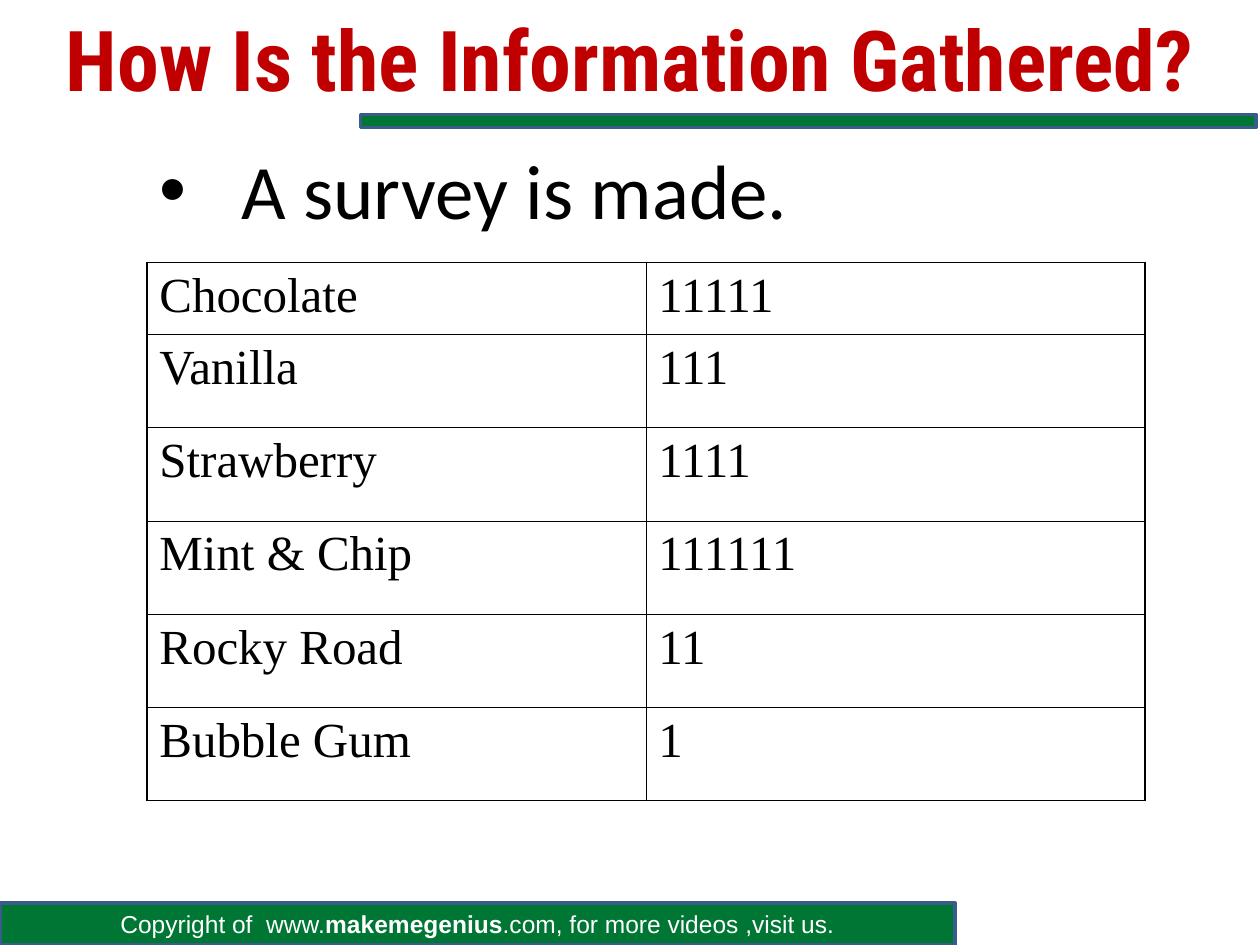
from lxml import etree
from pptx import Presentation
from pptx import util as u
from pptx.dml.color import RGBColor
from pptx.enum import shapes, text
from pptx.oxml import ns

COLOURS = {"red": "C00000", "green": "007635", "blue": "385D8A", "black": "000000", "white": "FFFFFF"}
SURVEY = [
    ("Chocolate", "11111"),
    ("Vanilla", "111"),
    ("Strawberry", "1111"),
    ("Mint & Chip", "111111"),
    ("Rocky Road", "11"),
    ("Bubble Gum", "1"),
]


class SurveyPage:
    """Draws the survey slide's elements in one shared style."""

    def __init__(self, page):
        self.page = page

    def colour(self, name):
        return RGBColor.from_string(COLOURS[name])

    def style(self, span, font, size, colour, bold=False):
        span.font.name = font
        span.font.size = u.Pt(size)
        span.font.bold = bold
        span.font.color.rgb = self.colour(colour)

    def bar(self, *place):
        box = self.page.shapes.add_shape(shapes.MSO_SHAPE.RECTANGLE, *map(u.Cm, place))
        box.shadow.inherit = False
        box.fill.solid()
        box.fill.fore_color.rgb = self.colour("green")
        box.line.color.rgb = self.colour("blue")
        box.line.width = u.Pt(2)
        return box

    def footer(self, parts, *place):
        frame = self.bar(*place).text_frame
        frame.vertical_anchor = text.MSO_ANCHOR.MIDDLE
        para = frame.paragraphs[0]
        para.alignment = text.PP_ALIGN.CENTER
        for words, bold in parts:
            span = para.add_run()
            span.text = words
            self.style(span, "Arial", 14, "white", bold)

    def text_box(self, words, place, **style):
        frame = self.page.shapes.add_textbox(*map(u.Cm, place)).text_frame
        frame.word_wrap = True
        frame.text = words
        para = frame.paragraphs[0]
        self.style(para.runs[0], **style)
        return frame, para

    def title(self, words, *place):
        frame, para = self.text_box(words, place, font="Roboto Condensed", size=48, colour="red", bold=True)
        frame.vertical_anchor = text.MSO_ANCHOR.MIDDLE
        para.alignment = text.PP_ALIGN.CENTER

    def bullet(self, words, *place):
        para = self.text_box(words, place, font="Calibri", size=44, colour="black")[1]
        properties = para._p.get_or_add_pPr()
        indent = u.Cm(1.66)
        properties.set("marL", str(indent))
        properties.set("indent", str(-indent))
        etree.SubElement(properties, ns.qn("a:buFont"), typeface="Arial")
        etree.SubElement(properties, ns.qn("a:buChar"), char="•")

    def borders(self, cell, widths):
        properties = cell._tc.get_or_add_tcPr()
        for index, (side, width) in enumerate(zip("LRTB", widths)):
            line = etree.Element(ns.qn(f"a:ln{side}"), w=str(u.Pt(width)))
            fill = etree.SubElement(line, ns.qn("a:solidFill"))
            etree.SubElement(fill, ns.qn("a:srgbClr"), val=COLOURS["black"])
            properties.insert(index, line)

    def table(self, rows, heights, *place):
        grid = self.page.shapes.add_table(len(rows), len(rows[0]), *map(u.Cm, place)).table
        grid.first_row = grid.horz_banding = False
        outer, inner = 1.08, 0.45
        last_row, last_column = len(rows) - 1, len(rows[0]) - 1
        for i, (row, height) in enumerate(zip(rows, heights)):
            grid.rows[i].height = u.Cm(height)
            for j, words in enumerate(row):
                cell = grid.cell(i, j)
                cell.text = words
                self.style(cell.text_frame.paragraphs[0].runs[0], "Times New Roman", 28, "black")
                cell.fill.background()
                edges = (j == 0, j == last_column, i == 0, i == last_row)
                self.borders(cell, [outer if edge else inner for edge in edges])


def main():
    deck = Presentation()
    deck.slide_width, deck.slide_height = u.Cm(25.4), u.Cm(19.05)
    survey = SurveyPage(deck.slides.add_slide(deck.slide_layouts[6]))
    footer = [("Copyright of  www.", False), ("makemegenius", True), (".com, for more videos ,visit us.", False)]
    survey.footer(footer, 0, 18.2, 19.25, 0.85)
    survey.bar(7.27, 2.31, 18.05, 0.26)
    survey.title("How Is the Information Gathered?", 0, -0.42, 25.4, 3.18)
    survey.bullet("A survey is made.", 2.96, 2.75, 21.59, 2.41)
    heights = [1.45] + [1.88] * 5
    survey.table(SURVEY, heights, 2.96, 5.29, 20.12, sum(heights))
    deck.save("out.pptx")


if __name__ == "__main__":
    main()
